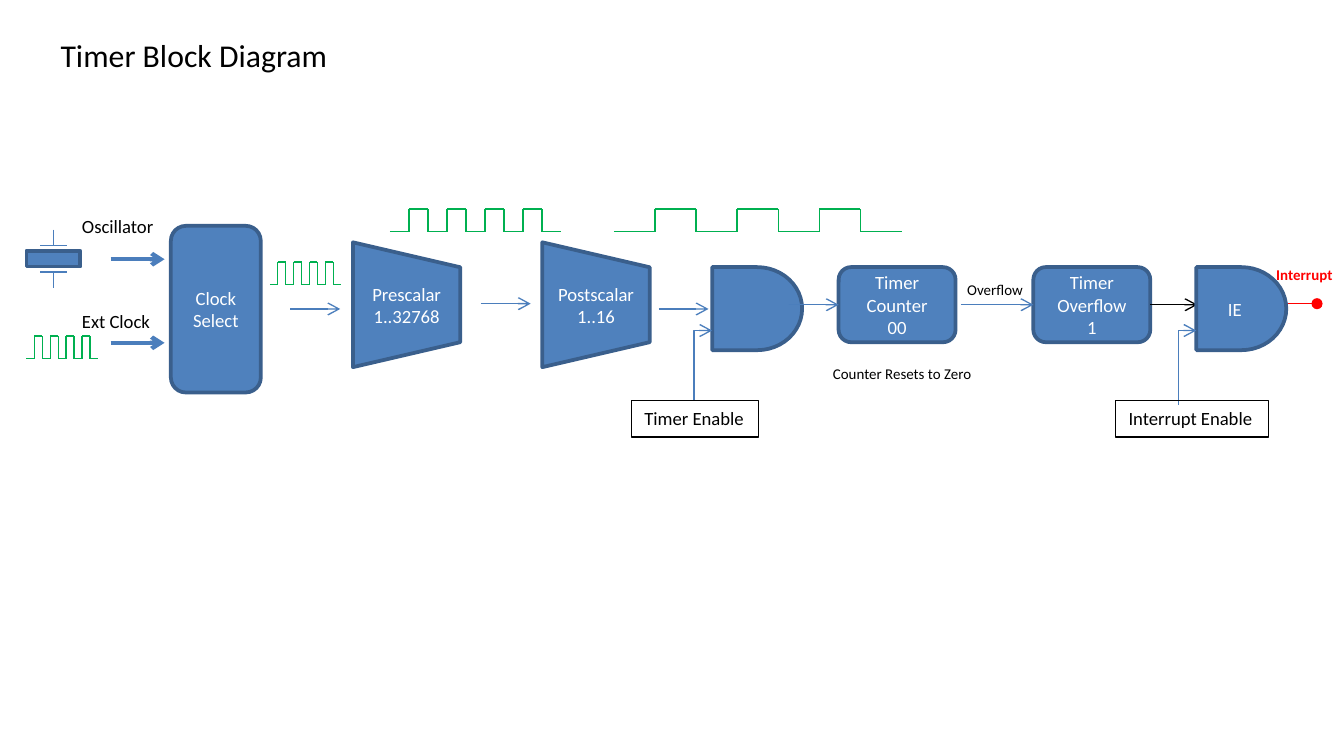
from lxml.etree import SubElement
from pptx import Presentation
from pptx.dml.color import RGBColor
from pptx.enum.shapes import MSO_CONNECTOR as Line, MSO_SHAPE as Shape
from pptx.enum.text import MSO_ANCHOR as Anchor, MSO_AUTO_SIZE as AutoSize, PP_ALIGN as Align
from pptx.oxml.ns import qn
from pptx.util import Cm, Pt

COLORS = {"block": "4F81BD", "edge": "3A5F8C", "wire": "4B7EBC", "pulse": "00B050",
          "alert": "FF0000", "black": "000000", "white": "FFFFFF"}
LABEL = {"name": "Calibri", "size": Pt(10)}
NOTE = {"name": "Calibri", "size": Pt(8)}
ALERT = {**NOTE, "bold": True}
TITLE = {"name": "Calibri", "size": Pt(17)}
FITTED = {"word_wrap": False, "auto_size": AutoSize.SHAPE_TO_FIT_TEXT,
          "vertical_anchor": Anchor.TOP}
# Without a right margin the last label stays inside the slide edge
EDGE_FITTED = {**FITTED, "margin_right": 0}
CENTERED = {"word_wrap": True, "vertical_anchor": Anchor.MIDDLE}


def rgb(color):
    return RGBColor.from_string(COLORS[color])


def set_values(target, values):
    for name, value in values.items():
        setattr(target, name, value)


def write(shape, text, font, color, frame_format, align):
    frame = shape.text_frame
    frame.text = text
    set_values(frame, frame_format)
    for paragraph in frame.paragraphs:
        paragraph.alignment = align
        for run in paragraph.runs:
            set_values(run.font, font)
            run.font.color.rgb = rgb(color)


def add_label(slide, text, left, top, width, height, font=LABEL, color="black",
              frame_format=FITTED):
    box = slide.shapes.add_textbox(Cm(left), Cm(top), Cm(width), Cm(height))
    write(box, text, font, color, frame_format, Align.LEFT)


def add_block(slide, kind, left, top, width, height, text="",
              fill="block", edge="edge", weight=2):
    block = slide.shapes.add_shape(kind, Cm(left), Cm(top), Cm(width), Cm(height))
    block.shadow.inherit = False
    if fill:
        block.fill.solid()
        block.fill.fore_color.rgb = rgb(fill)
    else:
        block.fill.background()
    block.line.color.rgb = rgb(edge)
    block.line.width = Pt(weight)
    if text:
        write(block, text, LABEL, "white", CENTERED, Align.CENTER)
    return block


def add_wire(shapes, x1, y1, x2, y2, color="wire", weight=0.75,
             head=None, tail=None, kind=Line.STRAIGHT):
    wire = shapes.add_connector(kind, Cm(x1), Cm(y1), Cm(x2), Cm(y2))
    wire.line.color.rgb = rgb(color)
    wire.line.width = Pt(weight)
    for tag, end in (("a:headEnd", head), ("a:tailEnd", tail)):
        if end:
            SubElement(wire.line._get_or_add_ln(), qn(tag), type=end)
    SubElement(wire._element.spPr, qn("a:effectLst"))
    return wire


def add_rising_wire(slide, x1, y1, x2, y2):
    """Elbow that goes straight up, then right, as a turned connector."""
    center_x, center_y = (x1 + x2) / 2, (y1 + y2) / 2
    half_rise, half_run = (y1 - y2) / 2, (x2 - x1) / 2
    wire = add_wire(slide.shapes, center_x + half_rise, center_y + half_run,
                    center_x - half_rise, center_y - half_run,
                    tail="arrow", kind=Line.ELBOW)
    properties = wire._element.spPr
    properties.find(qn("a:xfrm")).set("rot", "5400000")
    adjustments = properties.find(qn("a:prstGeom")).find(qn("a:avLst"))
    SubElement(adjustments, qn("a:gd"), name="adj1", fmla="val 100000")


def draw_pulses(slide, left, top, width, height, cycles):
    group = slide.shapes.add_group_shape()
    step = width / (2 * cycles + 1)
    levels = [top + height, top]
    for index in range(2 * cycles + 1):
        x, level = left + index * step, levels[index % 2]
        if index:
            add_wire(group.shapes, x, levels[0], x, levels[1], "pulse")
        add_wire(group.shapes, x, level, x + step, level, "pulse")


def draw_crystal(slide, left, top, width, height):
    center_x, center_y = left + width / 2, top + height / 2
    for side in (-1, 1):
        plate_y = center_y + side * 0.25
        add_wire(slide.shapes, center_x, center_y + side * height / 2, center_x, plate_y)
        add_wire(slide.shapes, center_x - 0.25, plate_y, center_x + 0.25, plate_y)
    add_block(slide, Shape.RECTANGLE, left, center_y - 0.15, width, 0.3)


def draw_scaler(slide, left, top, width, height, text):
    # The shape is turned a quarter, so its own width is the visible height
    block = add_block(slide, Shape.FLOWCHART_MANUAL_OPERATION,
                      left + (width - height) / 2, top + (height - width) / 2,
                      height, width, text)
    block.rotation = 270
    block.text_frame._txBody.bodyPr.set("vert", "vert")


def draw_enabled_gate(slide, left, top, width, height, text, enable, enable_width, fill):
    add_block(slide, Shape.FLOWCHART_DELAY, left, top, width, height, text)
    add_rising_wire(slide, left - 0.34, top + 2.6, left, top + 1.2)
    box = add_block(slide, Shape.RECTANGLE, left - 1.53, top + 2.52, enable_width, 0.69,
                    fill=fill, edge="black", weight=0.75)
    write(box, enable, LABEL, "black", FITTED, Align.LEFT)


def draw_title(slide, left, top, width, height):
    title = slide.shapes.title
    set_values(title, {"left": Cm(left), "top": Cm(top),
                       "width": Cm(width), "height": Cm(height)})
    write(title, "Timer Block Diagram", TITLE, "black", FITTED, Align.LEFT)


def draw_sources(slide, left, top):
    add_block(slide, Shape.ROUNDED_RECTANGLE, left + 2.73, top + 0.37, 1.7, 3.15,
              "Clock Select")
    for text, label_y, arrow_y in (("Oscillator", 0.04, 1), ("Ext Clock", 1.84, 2.58)):
        add_label(slide, text, left + 0.8, top + label_y, 1.85, 0.69)
        add_wire(slide.shapes, left + 1.59, top + arrow_y, left + 2.61, top + arrow_y,
                 weight=2.25, tail="arrow")
    draw_crystal(slide, left, top + 0.44, 1.02, 1.1)
    draw_pulses(slide, left, top + 2.45, 1.35, 0.43, 4)


def draw_scalers(slide, left, top):
    for x, y, width, cycles in ((0, 1.05, 1.35, 4), (2.27, 0.05, 3.23, 4),
                                (6.5, 0.05, 5.44, 3)):
        draw_pulses(slide, left + x, top + y, width, 0.43, cycles)
    for x, text in ((1.57, "Prescalar\n1..32768"), (5.15, "Postscalar\n1..16")):
        draw_scaler(slide, left + x, top + 0.68, 2.03, 2.36, text)
    for x, y in ((0.39, 1.94), (3.99, 1.84), (7.35, 1.94)):
        add_wire(slide.shapes, left + x, top + y, left + x + 0.94, top + y, tail="arrow")


def draw_timer(slide, left, top):
    draw_enabled_gate(slide, left + 1.56, top + 1.15, 1.7, 1.57, "",
                      "Timer Enable", 2.41, "white")
    counter = add_block(slide, Shape.ROUNDED_RECTANGLE, left + 3.95, top + 1.15,
                        2.21, 1.42, "Timer Counter\n00")
    arrow = add_wire(slide.shapes, left + 3.01, top + 1.86, left + 3.95, top + 1.86,
                     tail="arrow")
    arrow.end_connect(counter, 1)
    add_label(slide, "Counter Resets to Zero", left + 3.59, top + 2.86, 3.18, 0.61, NOTE)


def draw_interrupt(slide, left, top):
    overflow = add_block(slide, Shape.ROUNDED_RECTANGLE, left + 1.53, top + 1.15,
                         2.21, 1.42, "Timer Overflow\n1")
    arrow = add_wire(slide.shapes, left + 0.16, top + 1.86, left + 1.53, top + 1.86,
                     tail="arrow")
    arrow.end_connect(overflow, 1)
    flag = add_wire(slide.shapes, left + 3.74, top + 1.86, left + 4.63, top + 1.86,
                    "black", tail="arrow")
    flag.begin_connect(overflow, 3)
    add_wire(slide.shapes, left + 5.98, top + 1.84, left + 6.89, top + 1.84,
             "alert", head="oval", tail="oval")
    add_label(slide, "Overflow", left + 0.03, top + 1.28, 1.57, 0.61, NOTE)
    draw_enabled_gate(slide, left + 4.61, top + 1.15, 1.7, 1.57, "IE",
                      "Interrupt Enable", 2.9, None)
    add_label(slide, "Interrupt", left + 5.87, top + 1, 1.5, 0.61, ALERT, "alert",
              EDGE_FITTED)


def main():
    presentation = Presentation()
    set_values(presentation, {"slide_width": Cm(25.4), "slide_height": Cm(14.29)})
    slide = presentation.slides.add_slide(presentation.slide_layouts[5])
    draw_title(slide, 0.89, 0.55, 5.89, 1.02)
    # The stages run from left to right on one common top line
    for draw_stage, left in ((draw_sources, 0.5), (draw_scalers, 5.1),
                             (draw_timer, 11.9), (draw_interrupt, 18)):
        draw_stage(slide, left, 3.9)
    presentation.save("out.pptx")


if __name__ == "__main__":
    main()
